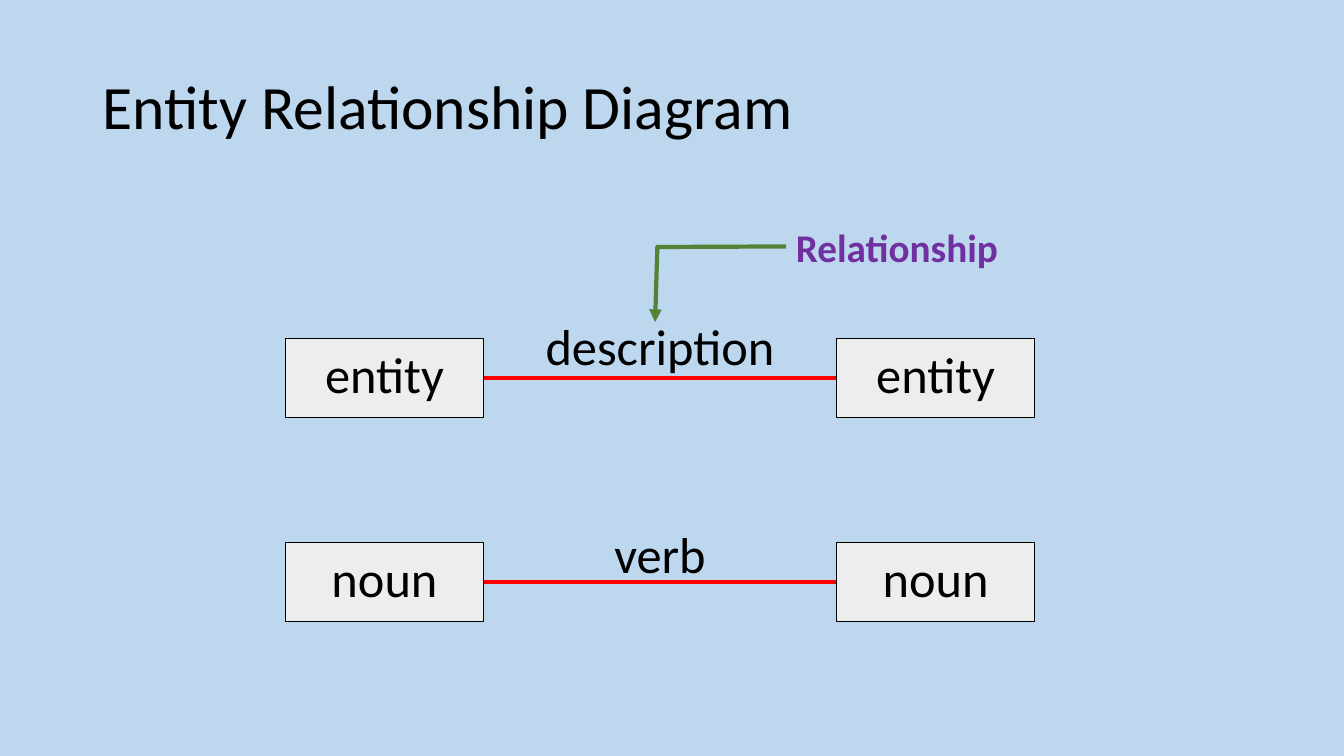
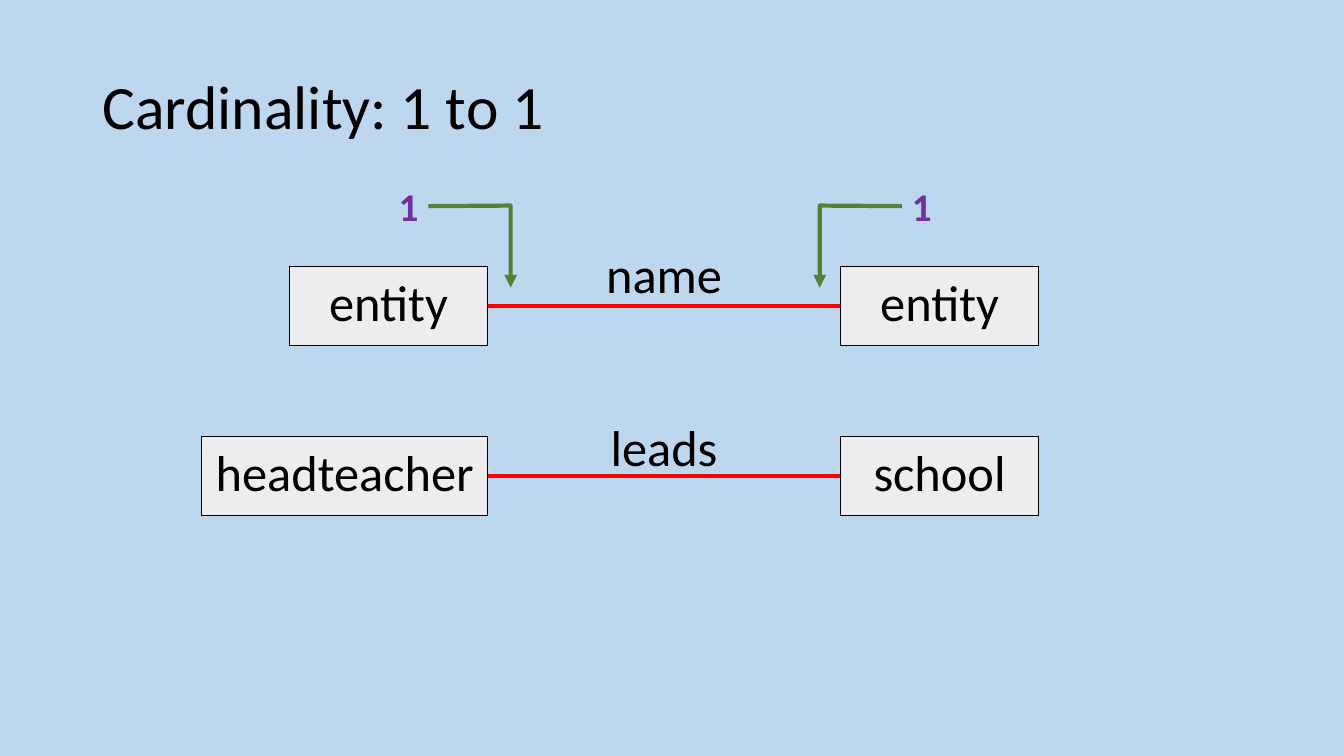
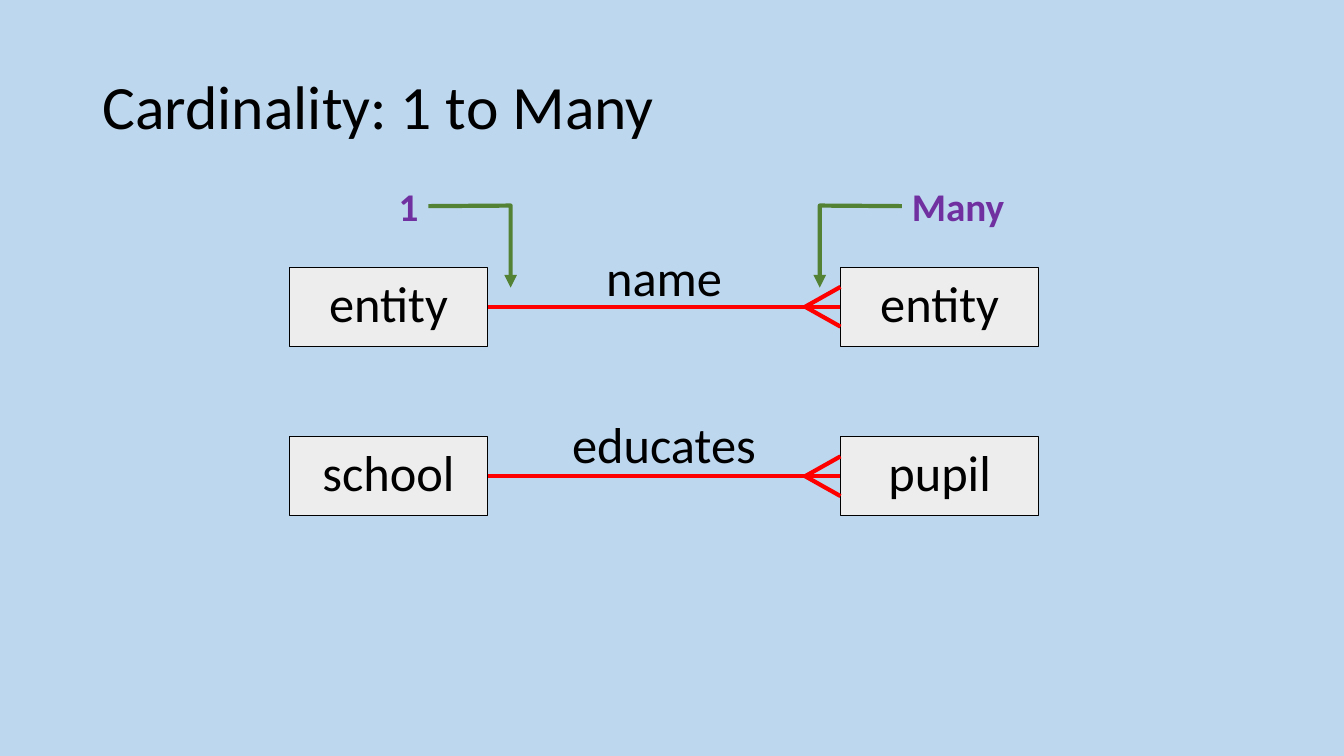
from lxml import etree
from pptx import Presentation
from pptx.dml.color import RGBColor
from pptx.enum import shapes, text
from pptx.oxml import ns
from pptx.util import Cm, Pt

SKY = RGBColor(0xBD, 0xD7, 0xEE)
BLACK = RGBColor(0x00, 0x00, 0x00)
GREY = RGBColor(0xED, 0xED, 0xED)
RED = RGBColor(0xFF, 0x00, 0x00)
GREEN = RGBColor(0x54, 0x82, 0x35)
PURPLE = RGBColor(0x70, 0x30, 0xA0)

FONT = "Calibri"
BOX_WIDTH, BOX_HEIGHT = 5, 2
LINK_LENGTH = 8.89
LABEL_HEIGHT = 1.8
FOOT_DEPTH, FOOT_SPREAD = 0.89, 0.5
LONG_POINTER = (0.49, 0, 0.5, -0.57, 1.88, -0.58)
SHORT_POINTER = (0.5, 0, 0.49, -0.69, 2.02, -0.69)


class DiagramDeck:
    def __init__(self):
        self.deck = Presentation()
        self.deck.slide_width = Cm(33.87)
        self.deck.slide_height = Cm(19.05)
        fill = self.deck.slide_master.background.fill
        fill.solid()
        fill.fore_color.rgb = SKY
        self.page = None

    def new_page(self, title):
        self.page = self.deck.slides.add_slide(self.deck.slide_layouts[5])
        box = self.page.shapes.title
        box.left, box.top, box.width, box.height = Cm(2.33), Cm(0.91), Cm(29.21), Cm(3.68)
        self.set_text(box, title, 44, align=text.PP_ALIGN.LEFT, anchor=text.MSO_ANCHOR.MIDDLE)
        box.text_frame.paragraphs[0].line_spacing = 0.9

    def set_text(self, box, words, size, color=BLACK, bold=False,
                 align=text.PP_ALIGN.CENTER, anchor=text.MSO_ANCHOR.TOP, wrap=True):
        frame = box.text_frame
        frame.text = words
        frame.word_wrap = wrap
        frame.vertical_anchor = anchor
        frame.auto_size = text.MSO_AUTO_SIZE.NONE
        paragraph = frame.paragraphs[0]
        paragraph.alignment = align
        paragraph.font.name = FONT
        paragraph.font.size = Pt(size)
        paragraph.font.bold = bold
        paragraph.font.color.rgb = color

    def entity(self, words, left, top, width=BOX_WIDTH):
        box = self.page.shapes.add_shape(
            shapes.MSO_SHAPE.RECTANGLE, Cm(left), Cm(top), Cm(width), Cm(BOX_HEIGHT))
        box.shadow.inherit = False
        box.fill.solid()
        box.fill.fore_color.rgb = GREY
        box.line.color.rgb = BLACK
        box.line.width = Pt(0.75)
        self.set_text(box, words, 36, wrap=False)
        return box

    def line(self, x1, y1, x2, y2):
        connector = self.page.shapes.add_connector(
            shapes.MSO_CONNECTOR.STRAIGHT, Cm(x1), Cm(y1), Cm(x2), Cm(y2))
        connector.line.color.rgb = RED
        connector.line.width = Pt(3)
        etree.SubElement(connector._element.spPr, ns.qn("a:effectLst"))
        return connector

    def label(self, words, center, top, width):
        box = self.page.shapes.add_textbox(
            Cm(center - width / 2), Cm(top), Cm(width), Cm(LABEL_HEIGHT))
        self.set_text(box, words, 36, wrap=False)
        box.text_frame.auto_size = text.MSO_AUTO_SIZE.SHAPE_TO_FIT_TEXT

    def relationship(self, first, name, second, left, top, label_top, label_width,
                     first_width=BOX_WIDTH, many=False):
        start = left + BOX_WIDTH
        end = start + LINK_LENGTH
        middle = top + BOX_HEIGHT / 2
        first_box = self.entity(first, start - first_width, top, first_width)
        second_box = self.entity(second, end, top)
        link = self.line(start, middle, end, middle)
        link.begin_connect(first_box, 3)
        link.end_connect(second_box, 1)
        if many:
            for spread in (-FOOT_SPREAD, FOOT_SPREAD):
                self.line(end - FOOT_DEPTH, middle, end, middle + spread)
        self.label(name, (start + end) / 2, label_top, label_width)

    def callout(self, words, left, top, width, height, pointer, flipped=False):
        box = self.page.shapes.add_shape(
            shapes.MSO_SHAPE.LINE_CALLOUT_2_NO_BORDER,
            Cm(left), Cm(top), Cm(width), Cm(height))
        box.shadow.inherit = False
        for index, value in enumerate(pointer):
            box.adjustments[index] = value
        box.fill.background()
        box.line.color.rgb = GREEN
        box.line.width = Pt(3)
        etree.SubElement(box.line._get_or_add_ln(), ns.qn("a:tailEnd"), type="triangle")
        if flipped:
            box._element.spPr.xfrm.set("flipH", "1")
        align = text.PP_ALIGN.RIGHT if flipped else text.PP_ALIGN.LEFT
        self.set_text(box, words, 28, PURPLE, True, align, text.MSO_ANCHOR.MIDDLE)

    def cardinality(self, first, second):
        self.callout(second, 22.73, 4.52, 3, 1.35, SHORT_POINTER)
        self.callout(first, 7.8, 4.52, 3, 1.35, SHORT_POINTER, flipped=True)


def main():
    diagram = DiagramDeck()

    diagram.new_page("Entity Relationship Diagram")
    diagram.relationship("entity", "description", "entity", 7.19, 8.53, 7.82, 6.35)
    diagram.callout("Relationship", 19.81, 5.54, 5.69, 1.37, LONG_POINTER)
    diagram.relationship("noun", "verb", "noun", 7.19, 13.67, 13.06, 2.84)

    diagram.new_page("Cardinality: 1 to 1")
    diagram.relationship("headteacher", "leads", "school", 7.29, 11, 10.36, 3.23,
                         first_width=7.2)
    diagram.relationship("entity", "name", "entity", 7.29, 6.71, 5.99, 3.45)
    diagram.cardinality("1", "1")

    diagram.new_page("Cardinality: 1 to Many")
    diagram.cardinality("1", "Many")
    diagram.relationship("entity", "name", "entity", 7.29, 6.73, 6.07, 3.45, many=True)
    diagram.relationship("school", "educates", "pupil", 7.29, 11, 10.29, 5.18, many=True)

    diagram.deck.save("out.pptx")


if __name__ == "__main__":
    main()
